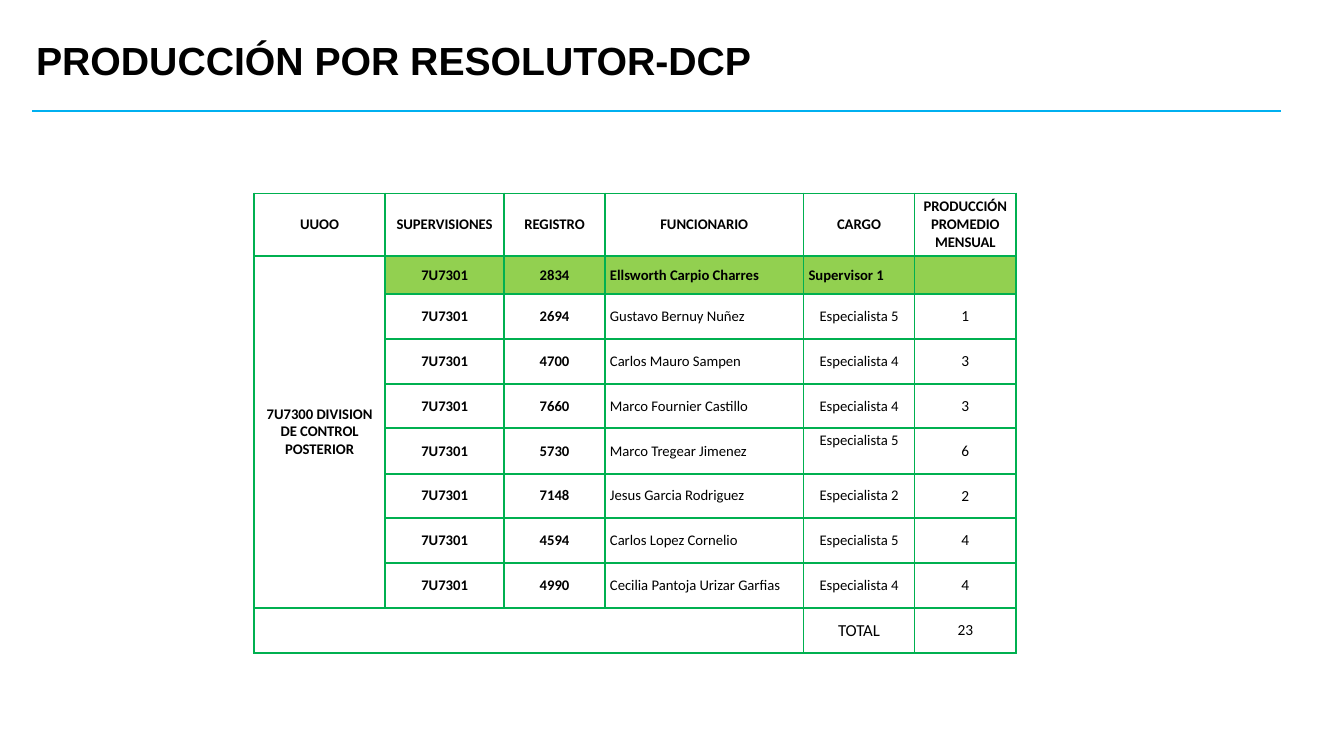
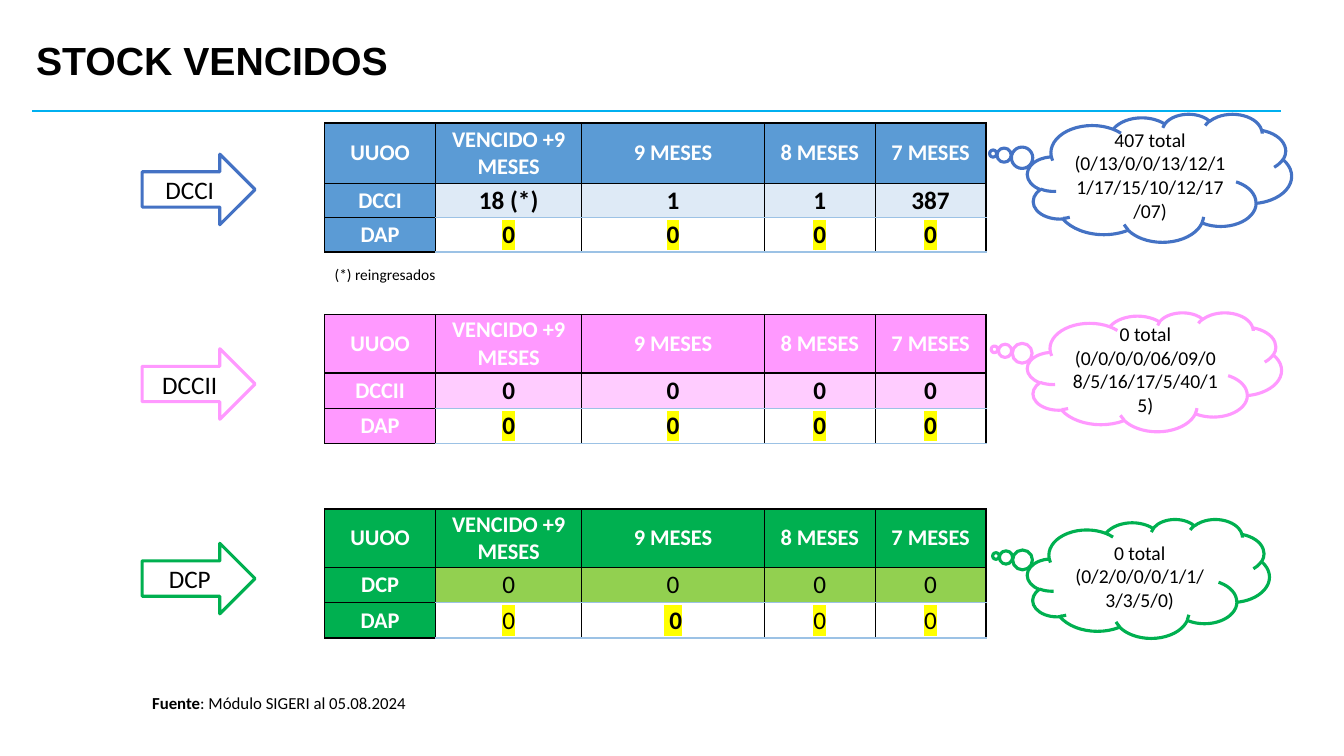
from lxml import etree
from pptx import Presentation
from pptx import util as u
from pptx.dml.color import RGBColor
from pptx.enum import shapes, text
from pptx.oxml.ns import qn

PX = 9144  # 100 px to the inch
BLACK, WHITE, GREEN, LIME = "000000", "FFFFFF", "00B050", "92D050"
SKY, PALE_BLUE, YELLOW = "00B0F0", "9CC2E5", "FFFF00"
LEFT, CENTER = text.PP_ALIGN.LEFT, text.PP_ALIGN.CENTER
MIDDLE = text.MSO_ANCHOR.MIDDLE
hex_color = RGBColor.from_string


def write(frame, content, size, bold=False, color=BLACK, font="Calibri", align=LEFT, highlight=None):
    """Add one run to the first paragraph of a text frame and return the paragraph."""
    frame.word_wrap = True
    paragraph = frame.paragraphs[0]
    paragraph.alignment = align
    run = paragraph.add_run()
    run.text = content
    run.font.color.rgb = hex_color(color)
    for name, value in {"size": u.Pt(size), "bold": bold, "name": font}.items():
        setattr(run.font, name, value)
    if highlight:
        mark = etree.Element(qn("a:highlight"))
        etree.SubElement(mark, qn("a:srgbClr"), val=highlight)
        run.font._element.find(qn("a:latin")).addprevious(mark)
    return paragraph


def add_grid(slide, left, top, widths, heights, rows, edge, edge_width):
    """Add a table from rows of (text, look); a look holds fill, edges and write() options."""
    frame = slide.shapes.add_table(len(heights), len(widths), left * PX, top * PX,
                                   sum(widths) * PX, sum(heights) * PX)
    table = frame.table
    table.first_row = table.horz_banding = False
    for column, width in zip(table.columns, widths):
        column.width = width * PX
    for row, height, cells in zip(table.rows, heights, rows):
        row.height = height * PX
        for cell, (content, look) in zip(row.cells, cells):
            options = {"align": CENTER, **look}
            fill = options.pop("fill", None)
            edges = {side: edge for side in "LRTB"} | options.pop("edges", {})
            for name, value in {"margin_left": 5, "margin_right": 5,
                                "margin_top": 0, "margin_bottom": 0}.items():
                setattr(cell, name, value * PX)
            cell.vertical_anchor = MIDDLE
            properties = cell._tc.get_or_add_tcPr()
            for side, color in edges.items():
                line = etree.SubElement(properties, qn(f"a:ln{side}"), w=str(u.Pt(edge_width)))
                solid = etree.SubElement(line, qn("a:solidFill"))
                etree.SubElement(solid, qn("a:srgbClr"), val=color)
            if fill:
                cell.fill.solid()
                cell.fill.fore_color.rgb = hex_color(fill)
            else:
                cell.fill.background()
            if content:
                write(cell.text_frame, content, **options)
    return table


presentation = Presentation()
presentation.slide_width, presentation.slide_height = 1333 * PX, 750 * PX
slides = []
for title in ("PRODUCCIÓN POR RESOLUTOR-DCP", "STOCK VENCIDOS"):
    slide = presentation.slides.add_slide(presentation.slide_layouts[6])
    slides.append(slide)
    rule = slide.shapes.add_connector(shapes.MSO_CONNECTOR.STRAIGHT,
                                      32 * PX, 110 * PX, 1271 * PX, 110 * PX)
    rule.line.color.rgb = hex_color(SKY)
    rule.line.width = u.Pt(1.5)
    etree.SubElement(rule._element.spPr, qn("a:effectLst"))
    frame = slide.shapes.add_textbox(26 * PX, 27 * PX, 1150 * PX, 70 * PX).text_frame
    frame.vertical_anchor = MIDDLE
    write(frame, title, 28, bold=True, font="Arial").line_spacing = 0.9
production, stock = slides

# Production by officer
heading = {"size": 10.5, "bold": True}
plain = {"size": 10.5}
number = {"size": 11, "fill": WHITE}
staff = [
    ("2694", "Gustavo Bernuy Nuñez", 5, 1),
    ("4700", "Carlos Mauro Sampen", 4, 3),
    ("7660", "Marco Fournier Castillo", 4, 3),
    ("5730", "Marco Tregear Jimenez", 5, 6),
    ("7148", "Jesus Garcia Rodriguez", 2, 2),
    ("4594", "Carlos Lopez Cornelio", 5, 4),
    ("4990", "Cecilia Pantoja Urizar Garfias", 4, 4),
]
supervisor = {**heading, "fill": LIME}
supervisor_left = {**supervisor, "align": LEFT}
headers = ("UUOO", "SUPERVISIONES", "REGISTRO", "FUNCIONARIO", "CARGO",
           "PRODUCCIÓN PROMEDIO MENSUAL")
rows = [
    [(header, heading) for header in headers],
    [("7U7300 DIVISION DE CONTROL POSTERIOR", heading), ("7U7301", supervisor),
     ("2834", supervisor), ("Ellsworth Carpio Charres", supervisor_left),
     ("Supervisor 1", supervisor_left), ("", supervisor)],
]
for register, officer, grade, average in staff:
    rows.append([("", plain), ("7U7301", heading), (register, heading),
                 (officer, {**plain, "align": LEFT}), (f"Especialista {grade}", plain),
                 (str(average), number)])
total = sum(average for *_, average in staff)
rows.append([("", plain)] * 4 + [("TOTAL", {"size": 12}), (str(total), number)])
table = add_grid(production, 252, 192, [130, 118, 100, 197, 110, 101],
                 [62, 38] + [44, 45] * 4, rows, GREEN, 1.5)
table.cell(1, 0).merge(table.cell(8, 0))
table.cell(9, 0).merge(table.cell(9, 3))
table.cell(5, 4).margin_bottom = 20 * PX

# Overdue stock: one arrow, table and cloud per unit
units = [
    {"name": "DCCI", "line": "4472C4", "dark": "5B9BD5", "light": "DEEAF6", "bold": True,
     "values": ("18 (*)", "1", "1", "387"), "overdue": ("0", "0", "0", "0"),
     "arrow_top": 153, "table_top": 122, "heights": [60, 34, 34], "cloud": (113, 262, 127),
     "note": "407 total (0/13/0/0/13/12/11/17/15/10/12/17/07)"},
    {"name": "DCCII", "line": "FF99FF", "dark": "FF99FF", "light": "FFCCFF", "bold": True,
     "values": ("0", "0", "0", "0"), "overdue": ("0", "0", "0", "0"),
     "arrow_top": 346, "table_top": 312, "heights": [58, 35, 35], "cloud": (310, 252, 118),
     "note": "0 total (0/0/0/0/06/09/08/5/16/17/5/40/15)"},
    {"name": "DCP", "line": GREEN, "dark": GREEN, "light": LIME, "bold": False,
     "values": ("0", "0", "0", "0"), "overdue": ("0", " 0", "0", "0"),
     "arrow_top": 539, "table_top": 505, "heights": [58, 35, 35], "cloud": (515, 240, 118),
     "note": "0 total (0/2/0/0/0/1/1/3/3/5/0)"},
]
headers = ("UUOO", "VENCIDO +9 MESES", "9 MESES", "8 MESES", "7 MESES")
for unit in units:
    cloud_top, cloud_width, cloud_height = unit["cloud"]
    arrow = stock.shapes.add_shape(shapes.MSO_SHAPE.RIGHT_ARROW, 141 * PX,
                                   unit["arrow_top"] * PX, 112 * PX, 70 * PX)
    cloud = stock.shapes.add_shape(shapes.MSO_SHAPE.CLOUD_CALLOUT, 1019 * PX, cloud_top * PX,
                                   cloud_width * PX, cloud_height * PX)
    cloud.adjustments[0], cloud.adjustments[1] = -0.63, -0.19
    for shape, content, size in ((arrow, unit["name"], 18), (cloud, unit["note"], 14)):
        shape.shadow.inherit = False
        shape.fill.solid()
        shape.fill.fore_color.rgb = hex_color(WHITE)
        shape.line.color.rgb = hex_color(unit["line"])
        shape.line.width = u.Pt(2.25)
        shape.text_frame.vertical_anchor = MIDDLE
        write(shape.text_frame, content, size, align=CENTER)

    label = {"size": 16, "bold": True, "color": WHITE, "fill": unit["dark"]}
    value = {"size": 18, "bold": unit["bold"], "fill": unit["light"], "edges": {"B": PALE_BLUE}}
    overdue = {**value, "fill": WHITE, "highlight": YELLOW,
               "edges": {"T": PALE_BLUE, "B": PALE_BLUE}}
    rows = [
        [(header, label) for header in headers],
        [(unit["name"], label)] + [(content, value) for content in unit["values"]],
        [("DAP", label)] + [(content, {**overdue, "bold": unit["bold"] or content != "0"})
                            for content in unit["overdue"]],
    ]
    add_grid(stock, 322, unit["table_top"], [110, 145, 181, 110, 110], unit["heights"],
             rows, BLACK, 1)

footnote = stock.shapes.add_textbox(322 * PX, 258 * PX, 639 * PX, 29 * PX)
write(footnote.text_frame, "(*) reingresados", 11)
source = stock.shapes.add_textbox(141 * PX, 682 * PX, 342 * PX, 30 * PX)
write(source.text_frame, "Fuente", 12, bold=True)
write(source.text_frame, ": Módulo SIGERI al 05.08.2024", 12)

presentation.save("out.pptx")
